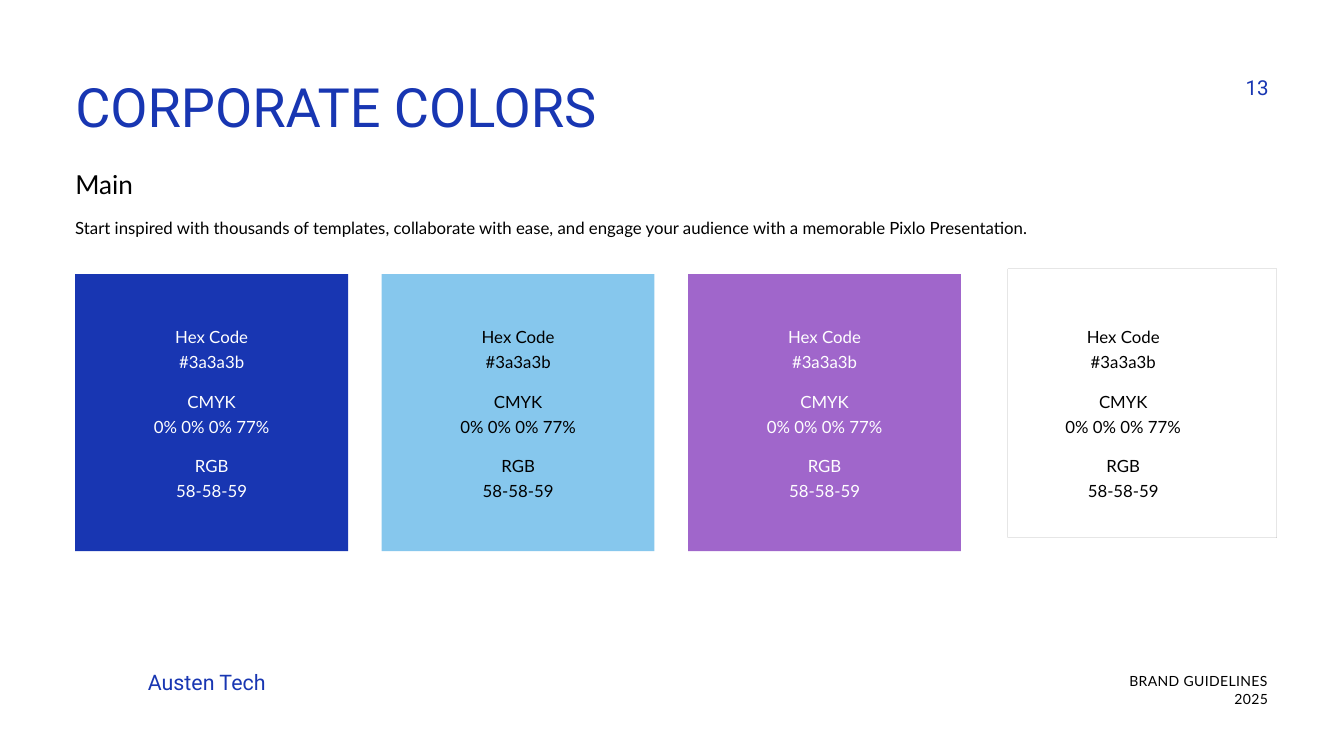
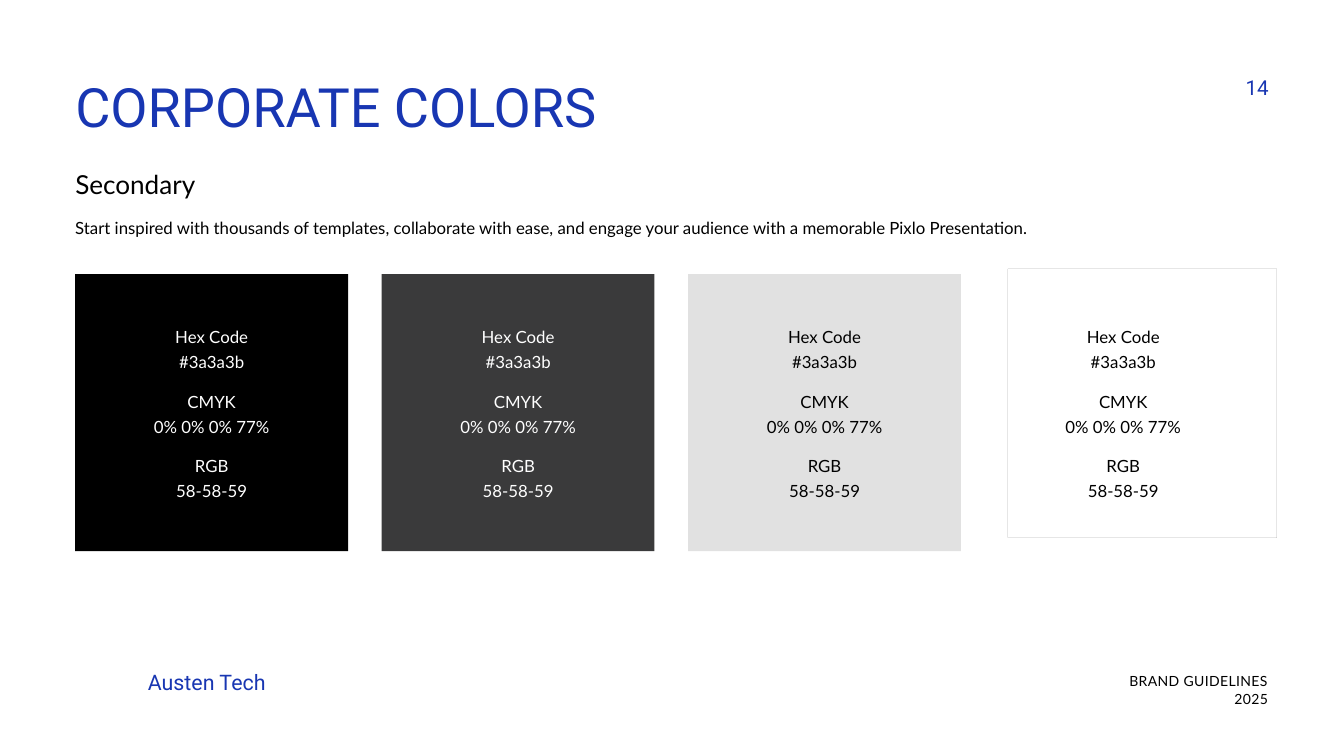
from dataclasses import dataclass

from pptx import Presentation
from pptx.dml.color import RGBColor
from pptx.enum import shapes, text
from pptx.util import Inches, Pt


@dataclass(frozen=True)
class Style:
    font: str
    size: float
    leading: float
    color: str
    align: text.PP_ALIGN = text.PP_ALIGN.LEFT
    spacing: int = 0  # letter spacing, hundredths of a point


class Theme:
    BLUE, SKY, PURPLE = "1836B2", "86C7ED", "A066CB"
    BLACK, CHARCOAL, SILVER, WHITE = "000000", "3A3A3B", "E1E1E1", "FFFFFF"
    RIGHT = text.PP_ALIGN.RIGHT

    TITLE = Style("Roboto", 58, 58, BLUE)
    NUMBER = Style("Roboto", 22, 24.2, BLUE, RIGHT)
    COMPANY = Style("Roboto", 22.9, 32, BLUE)
    SUBTITLE = Style("Lato", 28, 33.6, BLACK)
    BODY = Style("Lato", 18, 27, BLACK)
    FOOTER = Style("Lato", 15, 19.5, BLACK, RIGHT, 40)
    ON_LIGHT = Style("Lato", 18, 27, BLACK, text.PP_ALIGN.CENTER)
    ON_DARK = Style("Lato", 18, 27, WHITE, text.PP_ALIGN.CENTER)


# Content
TITLE = "CORPORATE COLORS"
INTRO = ("Start inspired with thousands of templates, collaborate with ease, "
         "and engage your audience with a memorable Pixlo Presentation.")
COMPANY = "Austen Tech"
FOOTER = "BRAND GUIDELINES 2025"
CODES = [("Hex Code", "#3a3a3b"), ("CMYK", "0% 0% 0% 77%"), ("RGB", "58-58-59")]

# Each swatch: fill (None for the outlined one) and the style of its codes
OUTLINED = (None, Theme.ON_LIGHT)
PALETTES = [
    ("13", "Main", [(Theme.BLUE, Theme.ON_DARK), (Theme.SKY, Theme.ON_LIGHT),
                    (Theme.PURPLE, Theme.ON_DARK), OUTLINED]),
    ("14", "Secondary", [(Theme.BLACK, Theme.ON_DARK), (Theme.CHARCOAL, Theme.ON_DARK),
                         (Theme.SILVER, Theme.ON_LIGHT), OUTLINED]),
]

# Layout, in inches
MARGIN = 1.12
SWATCH_TOP, SWATCH_HEIGHT, SWATCH_PITCH = 4.08, 4.12, 4.56
FILLED_WIDTH, OUTLINED_WIDTH, BORDER = 4.06, 3.83, 0.02
CODE_TOP, CODE_PITCH, CODE_WIDTH, CODE_HEIGHT = 4.79, 0.96, 3.11, 0.73


def write(box, lines, style):
    """Fill a text shape with one paragraph per line."""
    frame = box.text_frame
    frame.word_wrap = True
    frame.auto_size = text.MSO_AUTO_SIZE.SHAPE_TO_FIT_TEXT
    frame.vertical_anchor = text.MSO_ANCHOR.TOP
    frame.margin_left = frame.margin_right = frame.margin_top = frame.margin_bottom = 0
    for index, line in enumerate(lines):
        para = frame.add_paragraph() if index else frame.paragraphs[0]
        para.alignment = style.align
        para.line_spacing = Pt(style.leading)
        para.space_before = Pt(0)
        span = para.add_run()
        span.text = line
        span.font.name = style.font
        span.font.size = Pt(style.size)
        span.font.color.rgb = RGBColor.from_string(style.color)
        if style.spacing:
            span.font._element.set("spc", str(style.spacing))


def add_text(page, left, top, width, height, lines, style):
    box = page.shapes.add_textbox(*map(Inches, (left, top, width, height)))
    write(box, lines, style)


def add_frame(page, left, top, width, height):
    """Draw a thin hollow border as one outline with a hole."""
    right, bottom = left + width, top + height
    outer = [(left, top), (left, bottom), (right, bottom), (right, top)]
    x1, y1, x2, y2 = left + BORDER, top + BORDER, right - BORDER, bottom - BORDER
    inner = [(x2, y2), (x1, y2), (x1, y1), (x2, y1)]
    builder = page.shapes.build_freeform(*outer[0], scale=Inches(1))
    builder.add_line_segments(outer[1:], close=True)
    builder.move_to(*inner[0])
    builder.add_line_segments(inner[1:], close=True)
    return builder.convert_to_shape()


def add_swatch(page, column, fill, style):
    left = MARGIN + column * SWATCH_PITCH
    if fill:
        width = FILLED_WIDTH
        swatch = page.shapes.add_shape(
            shapes.MSO_SHAPE.RECTANGLE,
            *map(Inches, (left, SWATCH_TOP, width, SWATCH_HEIGHT)))
    else:
        width = OUTLINED_WIDTH
        swatch = add_frame(page, left, SWATCH_TOP, width, SWATCH_HEIGHT)
    swatch.shadow.inherit = False
    swatch.fill.solid()
    swatch.fill.fore_color.rgb = RGBColor.from_string(fill or Theme.CHARCOAL)
    swatch.line.fill.background()

    code_left = left + (width - CODE_WIDTH) / 2
    for row, lines in enumerate(CODES):
        add_text(page, code_left, CODE_TOP + row * CODE_PITCH,
                 CODE_WIDTH, CODE_HEIGHT, lines, style)


def add_page(deck, number, subtitle, swatches):
    page = deck.slides.add_slide(deck.slide_layouts[5])

    # Title, page number and footer
    title = page.shapes.title
    title.left, title.top, title.width, title.height = map(
        Inches, (MARGIN, 1.25, 10.78, 0.84))
    write(title, [TITLE], Theme.TITLE)
    add_text(page, 18.39, 1.14, 0.49, 0.35, [number], Theme.NUMBER)
    add_text(page, 2.2, 9.9, 1.88, 0.42, [COMPANY], Theme.COMPANY)
    add_text(page, 16.3, 9.98, 2.57, 0.27, [FOOTER], Theme.FOOTER)

    # Palette
    add_text(page, MARGIN, 2.51, 10.78, 0.46, [subtitle], Theme.SUBTITLE)
    add_text(page, MARGIN, 3.16, 17.53, 0.35, [INTRO], Theme.BODY)
    for column, (fill, style) in enumerate(swatches):
        add_swatch(page, column, fill, style)


def main():
    deck = Presentation()
    deck.slide_width, deck.slide_height = Inches(20), Inches(11.25)
    for number, subtitle, swatches in PALETTES:
        add_page(deck, number, subtitle, swatches)
    deck.save("out.pptx")


if __name__ == "__main__":
    main()
